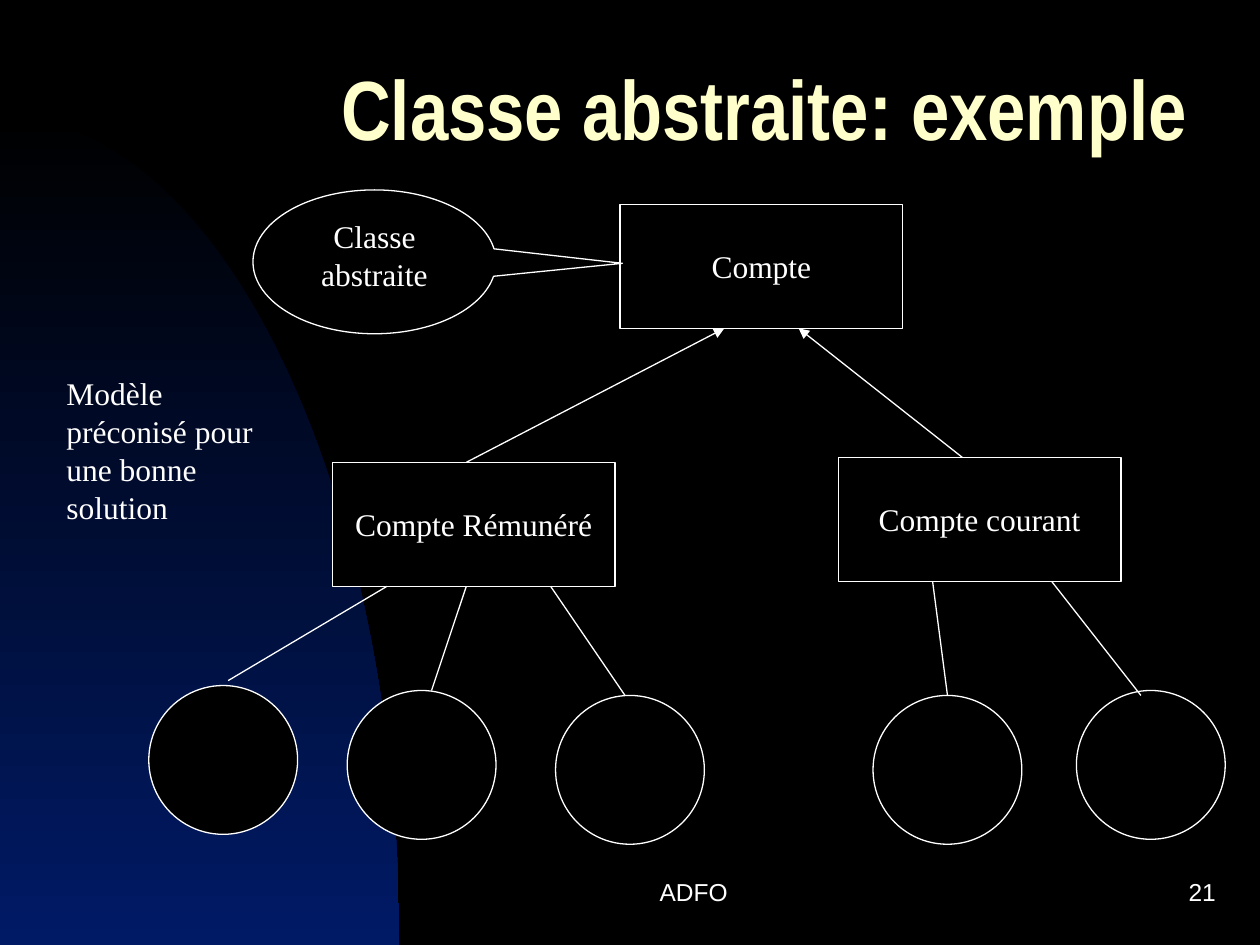
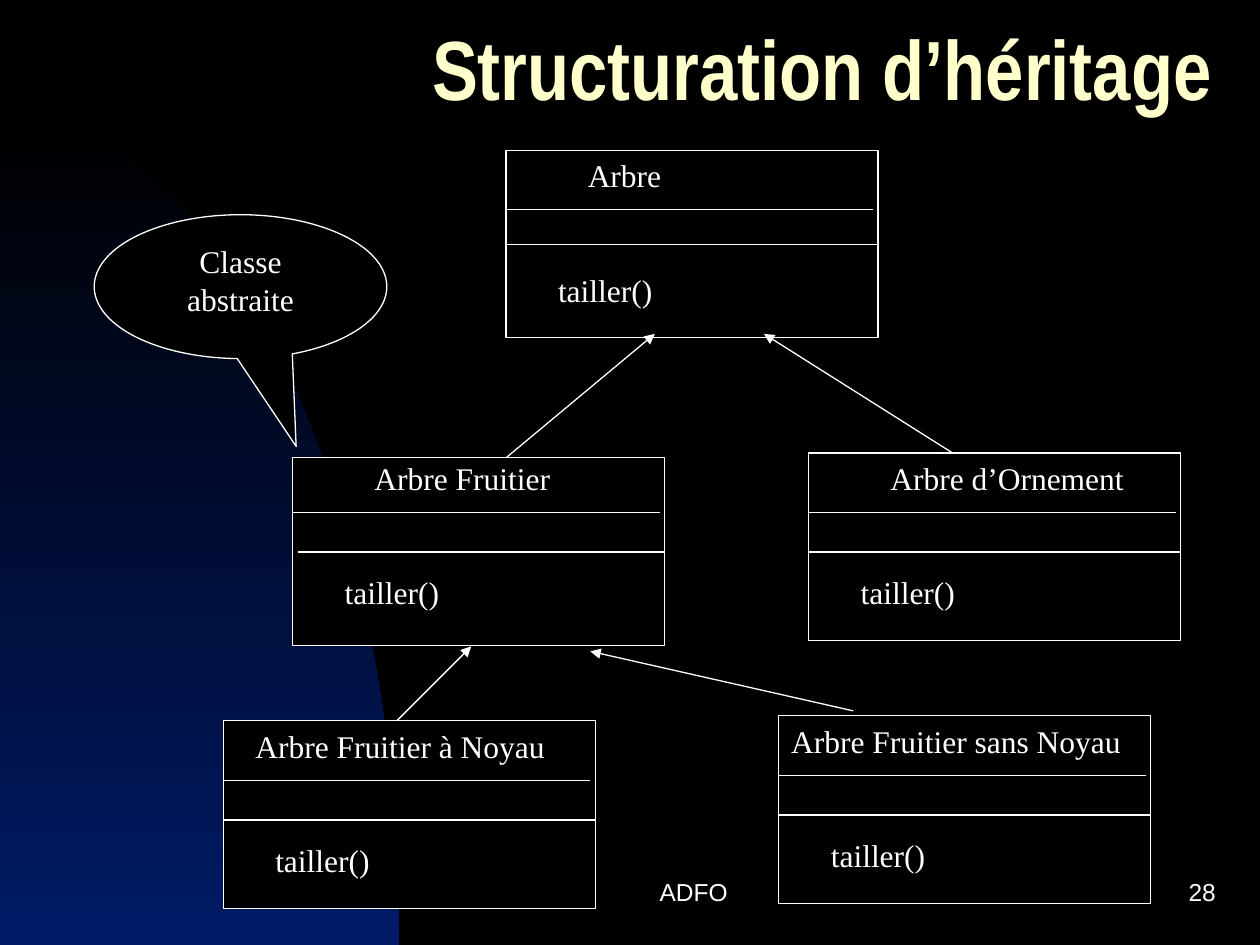
from lxml import etree
from pptx import Presentation
from pptx.dml.color import RGBColor
from pptx.enum.shapes import MSO_CONNECTOR, MSO_SHAPE
from pptx.enum.text import MSO_ANCHOR, PP_ALIGN
from pptx.oxml.ns import qn
from pptx.util import Cm, Pt

RECTANGLE, OVAL = MSO_SHAPE.RECTANGLE, MSO_SHAPE.OVAL
CALLOUT = MSO_SHAPE.OVAL_CALLOUT
STRAIGHT = MSO_CONNECTOR.STRAIGHT
TOP, MIDDLE = MSO_ANCHOR.TOP, MSO_ANCHOR.MIDDLE
LEFT, CENTER, RIGHT = PP_ALIGN.LEFT, PP_ALIGN.CENTER, PP_ALIGN.RIGHT

BLACK = RGBColor(0x00, 0x00, 0x00)
WHITE = RGBColor(0xFF, 0xFF, 0xFF)
CREAM = RGBColor(0xFF, 0xFF, 0xCC)
NIGHT_BLUE = RGBColor(0x00, 0x1A, 0x66)

BODY_FONT, TITLE_FONT, FOOTER_FONT = "Times New Roman", "Arial Narrow", "Arial"
OUTLINE = Pt(0.75)
SLIDE_W, SLIDE_H = 25.4, 19.05
BAND_TOP, BAND_W, BAND_STEPS = 2.34, 8.05, 60

ACCOUNT_W, ACCOUNT_H = 5.7, 2.5
INSTANCE_SIZE = 3
CLASS_W, CLASS_H = 7.5, 3.78


# Text
def set_text(shape, text, size=18, font=BODY_FONT, color=WHITE, bold=False,
             align=LEFT, anchor=TOP, wrap=True, spacing=None):
    frame = shape.text_frame
    frame.text = text
    frame.word_wrap = wrap
    frame.vertical_anchor = anchor
    paragraph = frame.paragraphs[0]
    paragraph.alignment = align
    if spacing:
        paragraph.line_spacing = spacing
    style = paragraph.runs[0].font
    style.size, style.name, style.bold = Pt(size), font, bold
    style.color.rgb = color


def add_label(slide, text, left, top, width, height, **style):
    label = slide.shapes.add_textbox(Cm(left), Cm(top), Cm(width), Cm(height))
    set_text(label, text, **style)


# Outlined shapes and lines
def add_outlined(slide, kind, left, top, width, height):
    outlined = slide.shapes.add_shape(kind, Cm(left), Cm(top), Cm(width), Cm(height))
    outlined.shadow.inherit = False
    outlined.fill.solid()
    outlined.fill.fore_color.rgb = BLACK
    outlined.line.color.rgb = WHITE
    outlined.line.width = OUTLINE
    return outlined


def add_line(slide, x1, y1, x2, y2, arrow=False):
    link = slide.shapes.add_connector(STRAIGHT, Cm(x1), Cm(y1), Cm(x2), Cm(y2))
    link.line.color.rgb = WHITE
    link.line.width = OUTLINE
    if arrow:
        etree.SubElement(link.line._get_or_add_ln(), qn("a:tailEnd"), type="triangle")
    etree.SubElement(link._element.spPr, qn("a:effectLst"))


def add_callout(slide, left, top, width, tip):
    callout = add_outlined(slide, CALLOUT, left, top, width, 2.9)
    callout.adjustments[0], callout.adjustments[1] = tip
    set_text(callout, "Classe abstraite", align=CENTER)


# Parts shared by the slides
def add_band(slide):
    """Blue quarter curve rising from the bottom left corner."""
    drop = SLIDE_H - BAND_TOP
    points = []
    for step in range(1, BAND_STEPS + 1):
        t = step / BAND_STEPS
        u = 1 - t
        x = BAND_W * (3 * u * u * t * 0.55 + 3 * u * t * t + t ** 3)
        y = BAND_TOP + drop * (3 * u * t * t * 0.45 + t ** 3)
        points.append((Cm(x), Cm(y)))
    outline = slide.shapes.build_freeform(Cm(0), Cm(BAND_TOP))
    outline.add_line_segments(points + [(Cm(0), Cm(SLIDE_H))], close=True)
    band = outline.convert_to_shape()
    band.shadow.inherit = False
    band.line.fill.background()
    band.fill.gradient()
    band.fill.gradient_angle = 270
    for stop, color, position in zip(band.fill.gradient_stops,
                                     (BLACK, NIGHT_BLUE), (0, 1)):
        stop.color.rgb = color
        stop.position = position


def start_slide(deck, title, title_left, title_top, number):
    slide = deck.slides.add_slide(deck.slide_layouts[6])
    slide.background.fill.solid()
    slide.background.fill.fore_color.rgb = BLACK
    add_band(slide)
    add_label(slide, title, title_left, title_top, SLIDE_W - title_left, 3.18,
              size=48, font=TITLE_FONT, color=CREAM, bold=True,
              anchor=MIDDLE, spacing=0.7)
    footer = dict(size=14, font=FOOTER_FONT, anchor=MIDDLE)
    add_label(slide, "ADFO", 9.96, 17.35, 8.05, 1.27, align=CENTER, **footer)
    add_label(slide, number, 19.48, 17.35, 5.28, 1.27, align=RIGHT, **footer)
    return slide


# Class diagrams
def add_account(slide, name, left, top):
    account = add_outlined(slide, RECTANGLE, left, top, ACCOUNT_W, ACCOUNT_H)
    set_text(account, name, align=CENTER, anchor=MIDDLE, wrap=False)


def add_class(slide, name, left, top, name_indent, name_w,
              lift=0, method_rule=2.0, rule_indent=0):
    """Three-part class box; lift raises the content within the box."""
    add_outlined(slide, RECTANGLE, left, top, CLASS_W, CLASS_H)
    base = top - lift
    add_line(slide, left, base + 1.2, left + 7.4, base + 1.2)
    add_line(slide, left + rule_indent, base + method_rule,
             left + CLASS_W, base + method_rule)
    add_label(slide, name, left + name_indent, base, name_w, 1.02)
    add_label(slide, "tailler()", left + 0.8, base + 2.3, 5.5, 1.02)


def build_abstract_class(deck):
    slide = start_slide(deck, "Classe abstraite: exemple", 6.63, 0.81, "21")
    for left, top in ((3, 13.82), (7, 13.92), (11.2, 14.02),
                      (17.6, 14.02), (21.7, 13.92)):
        add_outlined(slide, OVAL, left, top, INSTANCE_SIZE, INSTANCE_SIZE)
    add_account(slide, "Compte", 12.5, 4.12)
    add_account(slide, "Compte Rémunéré", 6.7, 9.32)
    add_account(slide, "Compte courant", 16.9, 9.22)

    # Inheritance
    add_line(slide, 9.4, 9.32, 14.6, 6.62, arrow=True)
    add_line(slide, 19.4, 9.22, 16.1, 6.62, arrow=True)
    # Instances
    for ends in ((4.6, 13.72, 7.8, 11.82), (8.7, 13.92, 9.4, 11.82),
                 (12.6, 14.02, 11.1, 11.82), (19.1, 14.02, 18.8, 11.72),
                 (23, 14.02, 21.2, 11.72)):
        add_line(slide, *ends)

    add_callout(slide, 5.1, 3.83, 4.9, (1.02, 0.01))
    add_label(slide, "Modèle préconisé pour une bonne solution",
              1.09, 7.42, 5, 3.3)


def build_inheritance(deck):
    slide = start_slide(deck, "Structuration d’héritage", 8.46, 0, "28")
    add_class(slide, "Arbre", 10.2, 3.03, 1.4, 4.8, method_rule=1.9)
    add_class(slide, "Arbre Fruitier", 5.9, 9.23, 1.4, 4.8,
              lift=0.1, rule_indent=0.1)
    add_class(slide, "Arbre d’Ornement", 16.3, 9.13, 1.4, 5.3)
    add_class(slide, "Arbre Fruitier à Noyau", 4.5, 14.53, 0.4, 6.5)
    add_class(slide, "Arbre Fruitier sans Noyau", 15.7, 14.43, 0, 7.2)

    # Inheritance
    for ends in ((10.2, 9.23, 13.2, 6.73), (19.2, 9.13, 15.4, 6.73),
                 (8, 14.53, 9.5, 13.03), (17.2, 14.33, 11.9, 13.13)):
        add_line(slide, *ends, arrow=True)

    add_callout(slide, 1.9, 4.33, 5.9, (0.19, 1.11))


def main():
    deck = Presentation()
    deck.slide_width, deck.slide_height = Cm(SLIDE_W), Cm(SLIDE_H)
    build_abstract_class(deck)
    build_inheritance(deck)
    deck.save("out.pptx")


if __name__ == "__main__":
    main()
